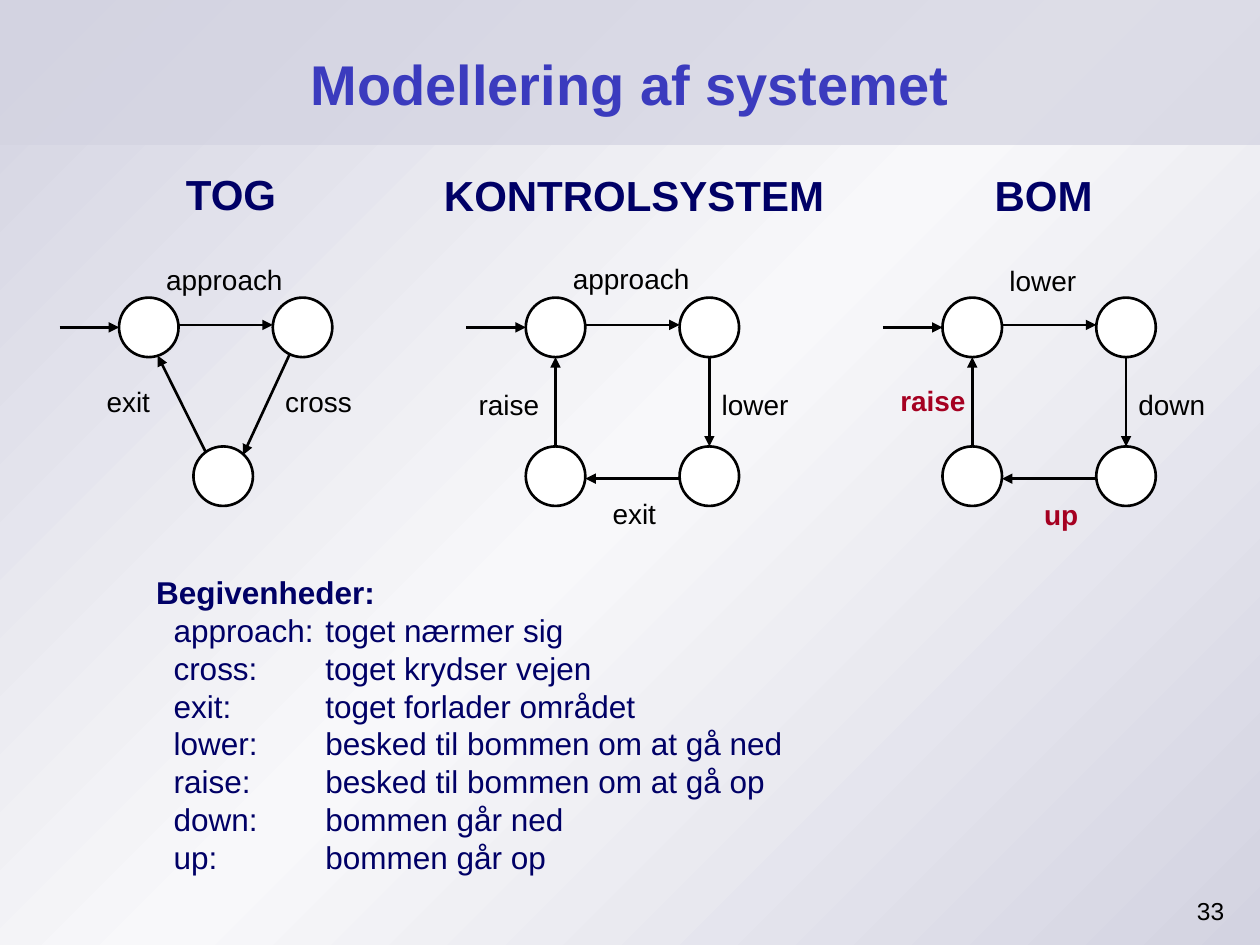
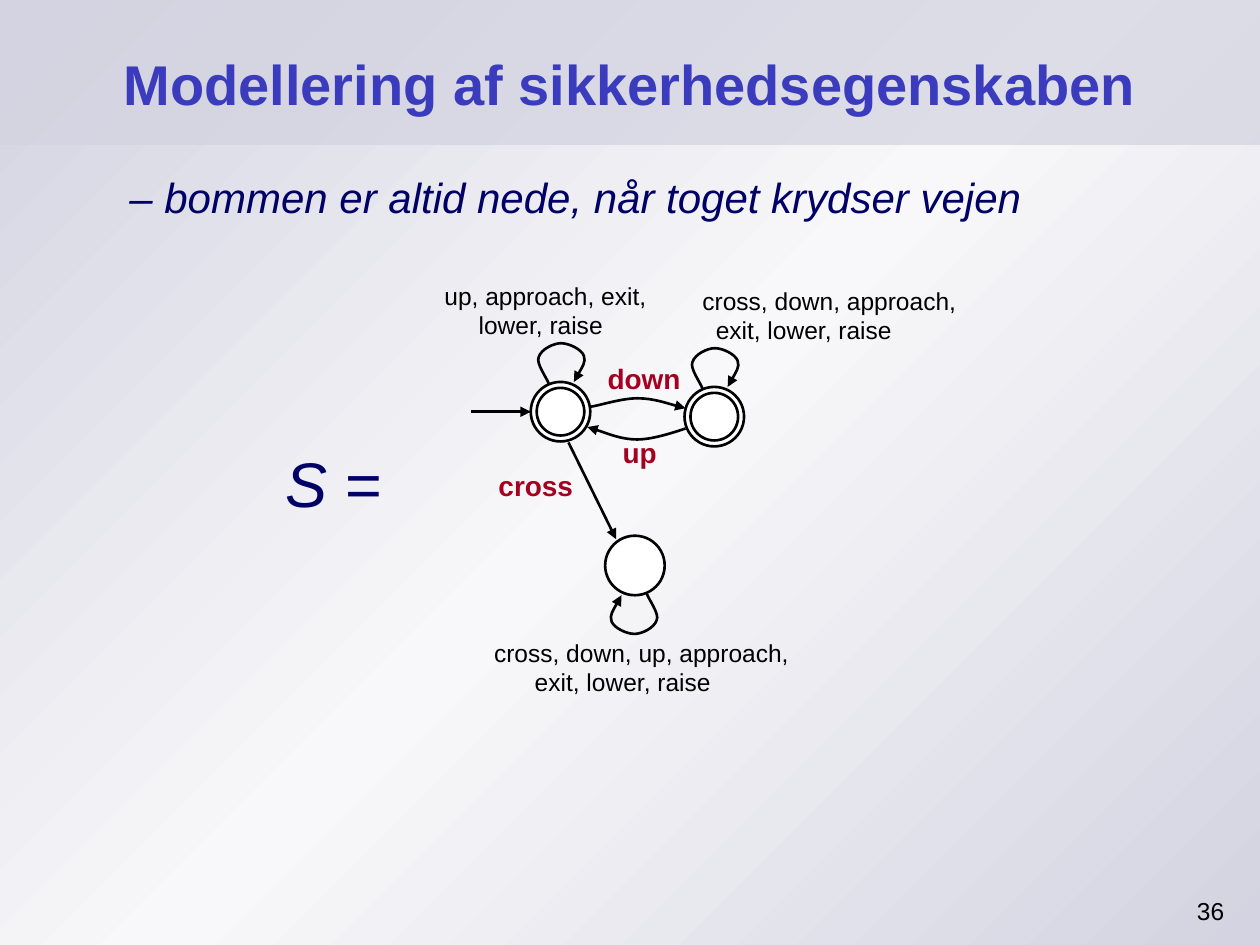
"""Builds two slides that model a level crossing with state machines."""
import copy

import pptx
import pptx.dml.color
import pptx.enum.shapes
import pptx.enum.text
import pptx.oxml.ns
import pptx.util
from lxml import etree

Cm = pptx.util.Cm
qn = pptx.oxml.ns.qn
SHAPE = pptx.enum.shapes.MSO_SHAPE
ALIGN = pptx.enum.text.PP_ALIGN

FONT = "Arial"
BLACK, WHITE, NAVY, RED = "000000", "FFFFFF", "000066", "A50021"
TITLE_BLUE, LAVENDER, PALE = "3B3BBE", "D3D3E1", "F8F8FA"
WIDTH, HEIGHT, BAND_HEIGHT = 25.4, 19.05, 2.92
RADIUS, INNER_RADIUS = 0.6, 0.48
STEP_X, STEP_Y = 3.1, 3.0
START_ARROW = 1.2
FIRST_ROW = 6.6

LABEL_WIDTHS = {"approach": 3.0, "cross": 2.2, "exit": 1.6, "lower": 2.0,
                "raise": 2.1, "down": 2.2, "up": 1.4}

SQUARE_STATES = [(0, 0), (STEP_X, 0), (0, STEP_Y), (STEP_X, STEP_Y)]
TOP_EDGE = ((RADIUS, -0.05), (STEP_X - RADIUS, -0.05))
SQUARE_EDGES = [
    TOP_EDGE,
    ((STEP_X, RADIUS), (STEP_X, STEP_Y - RADIUS)),
    ((STEP_X - RADIUS, STEP_Y + 0.05), (RADIUS, STEP_Y + 0.05)),
    ((0, STEP_Y - RADIUS), (0, RADIUS)),
]
TRIANGLE_STATES = [(0, 0), (STEP_X, 0), (1.5, STEP_Y)]
TRIANGLE_EDGES = [TOP_EDGE, ((2.84, 0.54), (1.9, 2.57)), ((1.14, 2.5), (0.18, 0.57))]

MACHINES = [
    {"name": ("TOG", 3.5, 3.27, 2.6), "x": 3.0,
     "states": TRIANGLE_STATES, "edges": TRIANGLE_EDGES,
     "labels": [("approach", 3.1, 5.16, BLACK), ("cross", 5.5, 7.62, BLACK),
                ("exit", 1.9, 7.62, BLACK)]},
    {"name": ("KONTROLSYSTEM", 8.7, 3.3, 8.5), "x": 11.2,
     "states": SQUARE_STATES, "edges": SQUARE_EDGES,
     "labels": [("approach", 11.3, 5.14, BLACK), ("lower", 14.3, 7.68, BLACK),
                ("exit", 12.1, 9.88, BLACK), ("raise", 9.4, 7.68, BLACK)]},
    {"name": ("BOM", 19.8, 3.3, 2.8), "x": 19.6,
     "states": SQUARE_STATES, "edges": SQUARE_EDGES,
     "labels": [("lower", 20.1, 5.18, BLACK), ("down", 22.7, 7.68, BLACK),
                ("up", 20.8, 9.9, RED), ("raise", 17.9, 7.6, RED)]},
]

EVENTS = [
    ("approach", "toget nærmer sig"),
    ("cross", "toget krydser vejen"),
    ("exit", "toget forlader området"),
    ("lower", "besked til bommen om at gå ned"),
    ("raise", "besked til bommen om at gå op"),
    ("down", "bommen går ned"),
    ("up", "bommen går op"),
]
EVENT_TABS = (0.35, 3.41)

SAFE_UP, SAFE_DOWN, ERROR = (11.3, 8.3), (14.4, 8.4), (12.8, 11.4)
LOOP = [(-0.24, -0.57), (-0.27, -0.67), (-0.5, -0.98), (-0.44, -1.1),
        (-0.39, -1.26), (-0.14, -1.38), (0.01, -1.38), (0.17, -1.38),
        (0.42, -1.26), (0.47, -1.13), (0.52, -1), (0.32, -0.7), (0.27, -0.6)]
LOOPS = [(SAFE_UP, 1), (SAFE_DOWN, 1), (ERROR, -1)]
ARCS = [
    [(11.91, 8.2), (12.07, 8.18), (12.52, 8.03), (12.85, 8.03),
     (13.16, 8.03), (13.61, 8.18), (13.82, 8.23)],
    [(13.82, 8.64), (13.66, 8.69), (13.18, 8.86), (12.85, 8.86),
     (12.52, 8.86), (12.04, 8.66), (11.84, 8.61)],
]
CROSS_EDGE = ((11.46, 8.92), (12.42, 10.87))
SAFETY_LABELS = [("cross", 9.8, 9.33), ("down", 12.0, 7.16), ("up", 12.3, 8.66)]
LOOP_LABELS = [
    (("up, approach, exit,", "lower, raise"), 8.71, 5.54, 5.0, 0.69),
    (("cross, down, approach,", "exit, lower, raise"), 13.91, 5.64, 6.0, 0.27),
    (("cross, down, up, approach,", "exit, lower, raise"), 9.71, 12.73, 6.9, 0.82),
]


def rgb(colour):
    """Turns a hex string into a colour."""
    return pptx.dml.color.RGBColor.from_string(colour)


def style(p, size, colour, bold=False, italic=None):
    """Sets the font of a paragraph."""
    f = p.font
    f.name, f.size, f.bold, f.italic = FONT, pptx.util.Pt(size), bold, italic
    f.color.rgb = rgb(colour)


def add_text(s, lines, x, y, w, h, size, colour, bold=False, italic=None):
    """Adds a text box with one paragraph a line and returns its paragraphs."""
    tf = s.shapes.add_textbox(Cm(x), Cm(y), Cm(w), Cm(h)).text_frame
    tf.word_wrap = True
    tf.text = "\n".join(lines)
    for p in tf.paragraphs:
        style(p, size, colour, bold, italic)
    return tf.paragraphs


def add_label(s, text, x, y, colour):
    """Adds the name of a transition."""
    add_text(s, [text], x, y, LABEL_WIDTHS[text], 0.94, 16, colour, colour == RED)


def outline(sp, arrow=True):
    """Gives a shape a black line without shadow, with an arrowhead if asked."""
    sp.line.color.rgb = rgb(BLACK)
    sp.line.width = pptx.util.Pt(1.5)
    sp_pr = sp.element.spPr
    if arrow:
        etree.SubElement(sp_pr.find(qn("a:ln")), qn("a:tailEnd"), type="triangle")
    etree.SubElement(sp_pr, qn("a:effectLst"))


def add_arrow(s, start, end):
    """Adds a straight arrow."""
    ends = [Cm(v) for v in (*start, *end)]
    outline(s.shapes.add_connector(pptx.enum.shapes.MSO_CONNECTOR.STRAIGHT, *ends))


def add_curve(s, points):
    """Adds a curved arrow through a start point and triples of Bezier points."""
    start, *rest = [(Cm(x), Cm(y)) for x, y in points]
    builder = s.shapes.build_freeform(*start)
    builder.add_line_segments(rest, close=False)
    sp = builder.convert_to_shape()
    sp.fill.background()
    outline(sp)
    path_element = next(sp.element.iter(qn("a:path")))
    segments = path_element.findall(qn("a:lnTo"))
    for i in range(0, len(segments), 3):
        curve = etree.SubElement(path_element, qn("a:cubicBezTo"))
        for segment in segments[i:i + 3]:
            curve.append(segment[0])
            path_element.remove(segment)


def add_circle(s, centre, radius, filled=True):
    """Adds a circle around a centre."""
    x, y = centre
    sp = s.shapes.add_shape(SHAPE.OVAL, Cm(x - radius), Cm(y - radius),
                            Cm(2 * radius), Cm(2 * radius))
    if filled:
        sp.fill.solid()
        sp.fill.fore_color.rgb = rgb(WHITE)
    else:
        sp.fill.background()
    outline(sp, arrow=False)


def add_start(s, x, y):
    """Adds the arrow into the first state."""
    add_arrow(s, (x - RADIUS - START_ARROW, y), (x - RADIUS, y))


def add_backdrop(prs, s):
    """Puts the gradient and the title band on the slide master."""
    back, band = [s.shapes.add_shape(SHAPE.RECTANGLE, 0, 0, Cm(WIDTH), Cm(h))
                  for h in (HEIGHT, BAND_HEIGHT)]
    back.fill.gradient()
    back.fill.gradient_angle = 135
    stops = next(back.element.iter(qn("a:gsLst")))
    stops.insert(1, copy.deepcopy(stops[0]))
    for i, (stop, colour) in enumerate(zip(back.fill.gradient_stops,
                                           (LAVENDER, PALE, LAVENDER))):
        stop.position = i / 2
        stop.color.rgb = rgb(colour)
    band.fill.solid()
    band.fill.fore_color.rgb = rgb(LAVENDER)
    etree.SubElement(next(band.element.iter(qn("a:srgbClr"))), qn("a:alpha"), val="72000")
    for i, sp in enumerate((back, band)):
        sp.line.fill.background()
        sp.shadow.inherit = False
        sp.element.nvSpPr.cNvPr.set("id", str(101 + i))
        prs.slide_master.shapes.element.insert(2 + i, sp.element)


def add_slide(prs, title, number):
    """Adds a slide with its title and number."""
    s = prs.slides.add_slide(prs.slide_layouts[5])
    sp = s.shapes.title
    sp.left, sp.top, sp.width, sp.height = Cm(1.27), Cm(0.43), Cm(22.86), Cm(2.5)
    tf = sp.text_frame
    tf.text = title
    tf.vertical_anchor = pptx.enum.text.MSO_ANCHOR.MIDDLE
    p = tf.paragraphs[0]
    p.alignment = ALIGN.CENTER
    style(p, 32, TITLE_BLUE, bold=True)
    p = add_text(s, [number], 22.9, 17.93, 2.03, 1, 14, BLACK)[0]
    p.alignment = ALIGN.RIGHT
    return s


def draw_machine(s, machine):
    """Draws one state machine with its name and labels."""
    left = machine["x"]
    name, x, y, w = machine["name"]
    add_text(s, [name], x, y, w, 1.27, 24, NAVY, bold=True)
    add_start(s, left, FIRST_ROW)
    for dx, dy in machine["states"]:
        add_circle(s, (left + dx, FIRST_ROW + dy), RADIUS)
    for edge in machine["edges"]:
        add_arrow(s, *[(left + dx, FIRST_ROW + dy) for dx, dy in edge])
    for label in machine["labels"]:
        add_label(s, *label)


def draw_events(s):
    """Lists the events and their meanings."""
    lines = ["Begivenheder:"] + [f"\t{name}:\t{meaning}" for name, meaning in EVENTS]
    heading, *entries = add_text(s, lines, 2.9, 11.43, 13.6, 6.35, 18, NAVY)
    heading.font.bold = True
    for p in entries:
        tabs = etree.Element(qn("a:tabLst"))
        for stop in EVENT_TABS:
            etree.SubElement(tabs, qn("a:tab"), pos=str(Cm(stop)), algn="l")
        p._p.get_or_add_pPr().insert(0, tabs)


def draw_safety(s):
    """Draws the state machine of the safety property."""
    add_text(s, ["– bommen er altid nede, når toget krydser vejen"],
             2.36, 3.33, 22.3, 2.5, 24, NAVY, italic=True)
    p = add_text(s, [""], 5.51, 8.84, 3.0, 1.78, 36, NAVY)[0]
    for text, italic in (("S", True), (" =", False)):
        r = p.add_run()
        r.text = text
        r.font.italic = italic
    add_start(s, *SAFE_UP)
    add_arrow(s, *CROSS_EDGE)
    for centre in (SAFE_UP, SAFE_DOWN, ERROR):
        add_circle(s, centre, RADIUS)
    for centre in (SAFE_UP, SAFE_DOWN):
        add_circle(s, centre, INNER_RADIUS, filled=False)
    for (x, y), sign in LOOPS:
        add_curve(s, [(x + sign * dx, y + sign * dy) for dx, dy in LOOP])
    for arc in ARCS:
        add_curve(s, arc)
    for label in SAFETY_LABELS:
        add_label(s, *label, RED)
    for lines, x, y, w, indent in LOOP_LABELS:
        p = add_text(s, lines, x, y, w, 2.03, 14, BLACK)[1]
        p._p.get_or_add_pPr().set("marL", str(Cm(indent)))


def main():
    """Builds and saves the presentation."""
    prs = pptx.Presentation()
    prs.slide_width, prs.slide_height = Cm(WIDTH), Cm(HEIGHT)
    s = add_slide(prs, "Modellering af systemet", "33")
    add_backdrop(prs, s)
    for machine in MACHINES:
        draw_machine(s, machine)
    draw_events(s)
    draw_safety(add_slide(prs, "Modellering af sikkerhedsegenskaben", "36"))
    prs.save("out.pptx")


if __name__ == "__main__":
    main()
